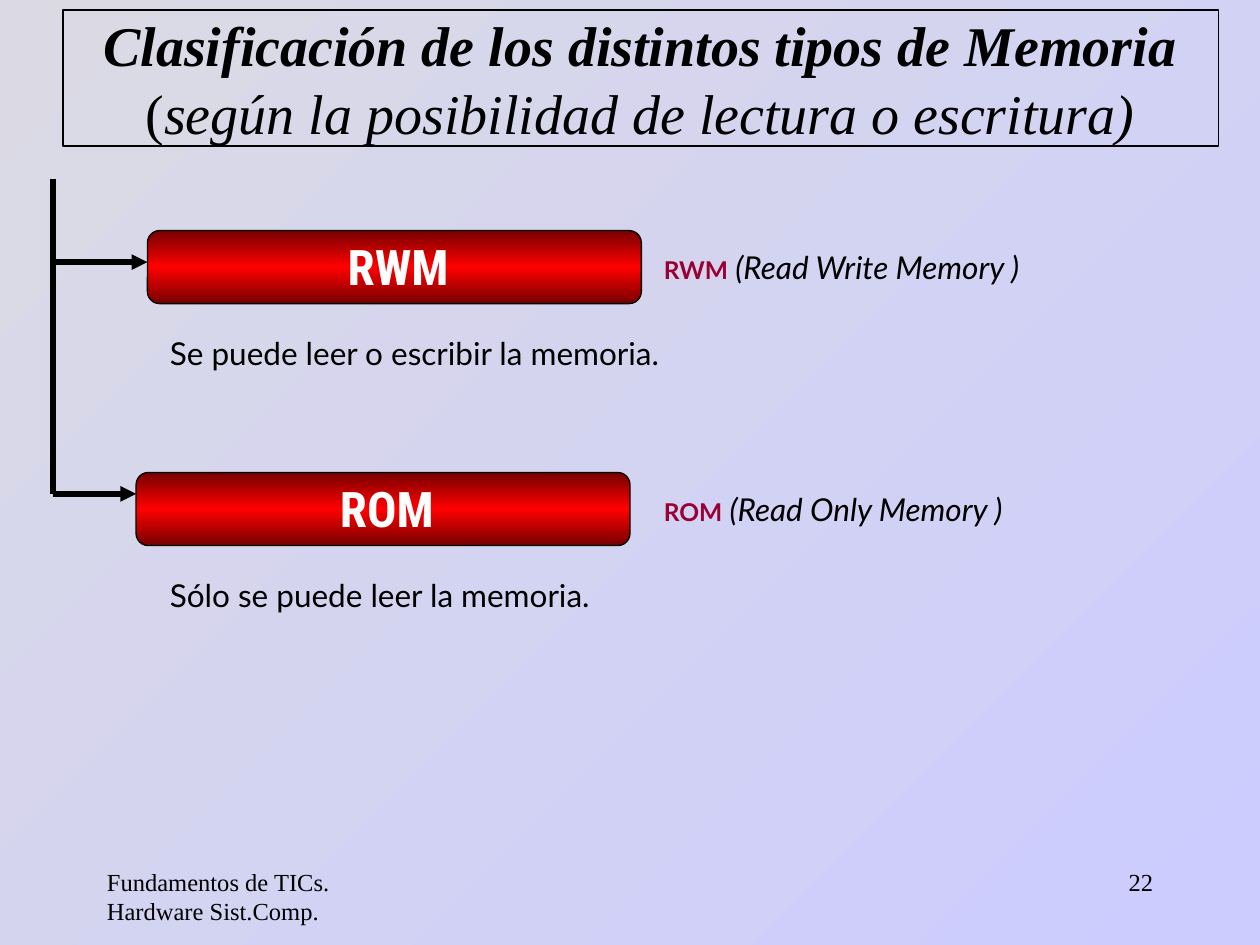
from copy import deepcopy
from dataclasses import dataclass

from lxml import etree
from pptx import Presentation
from pptx import util as u
from pptx.dml.color import RGBColor
from pptx.enum import shapes, text
from pptx.oxml.ns import qn


@dataclass(frozen=True)
class Theme:
    black: str = "000000"
    white: str = "FFFFFF"
    accent: str = "990033"
    bar_edge: str = "760000"
    bar_mid: str = "FF0000"
    bg_start: str = "DBDAE4"
    bg_end: str = "CCCCFF"
    serif: str = "Times New Roman"
    sans: str = "Lato"
    condensed: str = "Roboto Condensed"
    title: int = 32
    label: int = 28
    body: int = 18
    gap: int = 16
    small: int = 14


class Deck:
    def __init__(self, theme):
        self.t = theme
        self.prs = Presentation()
        self.prs.slide_width, self.prs.slide_height = u.Inches(10), u.Inches(7.5)
        self.s = self.prs.slides.add_slide(self.prs.slide_layouts[6])

    def gradient(self, fill, colors, angle):
        fill.gradient()
        fill.gradient_angle = angle
        stops = fill.gradient_stops
        if len(colors) > len(stops):
            gs = stops[0]._gs
            gs.addnext(deepcopy(gs))
            stops = fill.gradient_stops
        for i, (stop, color) in enumerate(zip(stops, colors)):
            stop.color.rgb = RGBColor.from_string(color)
            stop.position = i / (len(colors) - 1)

    def outline(self, line, width):
        line.color.rgb = RGBColor.from_string(self.t.black)
        line.width = u.Pt(width)

    def run(self, p, wording, size, font, color=None, bold=False, italic=False):
        r = p.add_run()
        r.text = wording
        r.font.size, r.font.name = u.Pt(size), font
        r.font.bold, r.font.italic = bold, italic
        r.font.color.rgb = RGBColor.from_string(color or self.t.black)

    def textbox(self, box, *lines, align=text.PP_ALIGN.LEFT, border=False):
        sp = self.s.shapes.add_textbox(*map(u.Inches, box))
        tf = sp.text_frame
        tf.word_wrap = True
        if border:
            self.outline(sp.line, 0.75)
            tf.vertical_anchor = text.MSO_ANCHOR.MIDDLE
        for i, runs in enumerate(lines):
            p = tf.add_paragraph() if i else tf.paragraphs[0]
            p.alignment = align
            for wording, size, font, *style in runs:
                self.run(p, wording, size, font, *style)

    def bar(self, x, y, label):
        t = self.t
        sp = self.s.shapes.add_shape(
            shapes.MSO_SHAPE.ROUNDED_RECTANGLE, *map(u.Inches, (x, y, 3.92, 0.58)))
        sp.shadow.inherit = False
        sp.adjustments[0] = 0.167
        self.gradient(sp.fill, (t.bar_edge, t.bar_mid, t.bar_edge), 270)
        self.outline(sp.line, 0.75)
        self.textbox((x + 0.21, y, 3.56, 0.57),
                     [(label, t.label, t.condensed, t.white, True)],
                     align=text.PP_ALIGN.CENTER)

    def line(self, x1, y1, x2, y2, arrow=False):
        cx = self.s.shapes.add_connector(
            shapes.MSO_CONNECTOR.STRAIGHT, *map(u.Inches, (x1, y1, x2, y2)))
        self.outline(cx.line, 3)
        if arrow:
            ln = cx.line._get_or_add_ln()
            etree.SubElement(ln, qn("a:tailEnd"), type="triangle")
        etree.SubElement(cx._element.spPr, qn("a:effectLst"))


def main():
    t = Theme()
    d = Deck(t)
    d.gradient(d.s.background.fill, (t.bg_start, t.bg_end), 315)

    d.textbox((0.5, 0.08, 9.17, 1.08),
              [("Clasificación de los distintos tipos de Memoria",
                t.title, t.serif, t.black, True, True)],
              [("(", t.title, t.serif),
               ("según la posibilidad de lectura o escritura)",
                t.title, t.serif, t.black, False, True)],
              align=text.PP_ALIGN.CENTER, border=True)

    memories = (
        ("RWM", "(Read Write Memory )", "Se puede leer o escribir la memoria.",
         1.17, 1.83, 2.08),
        ("ROM", "(Read Only Memory )", "Sólo se puede leer la memoria.",
         1.08, 3.75, 3.92),
    )
    trunk_x, trunk_y = 0.42, 1.42
    for name, meaning, detail, x, y, branch_y in memories:
        d.line(trunk_x, trunk_y, trunk_x, branch_y)
        d.line(trunk_x, branch_y, x, branch_y, arrow=True)
        trunk_y = branch_y
        d.bar(x, y, name)
        d.textbox((5.17, y + 0.09, 3.83, 0.4),
                  [(name, t.small, t.sans, t.accent, True),
                   (" ", t.gap, t.sans),
                   (meaning, t.body, t.sans, t.black, False, True)])
        d.textbox((1.25, y + 0.77, 8.75, 0.4), [(detail, t.body, t.sans)])

    d.textbox((0.75, 6.83, 2.08, 0.5),
              [("Fundamentos de TICs. Hardware Sist.Comp.", t.small, t.serif)])
    d.textbox((7.17, 6.83, 2.08, 0.5), [("22", t.small, t.serif)],
              align=text.PP_ALIGN.RIGHT)
    d.prs.save("out.pptx")


if __name__ == "__main__":
    main()
